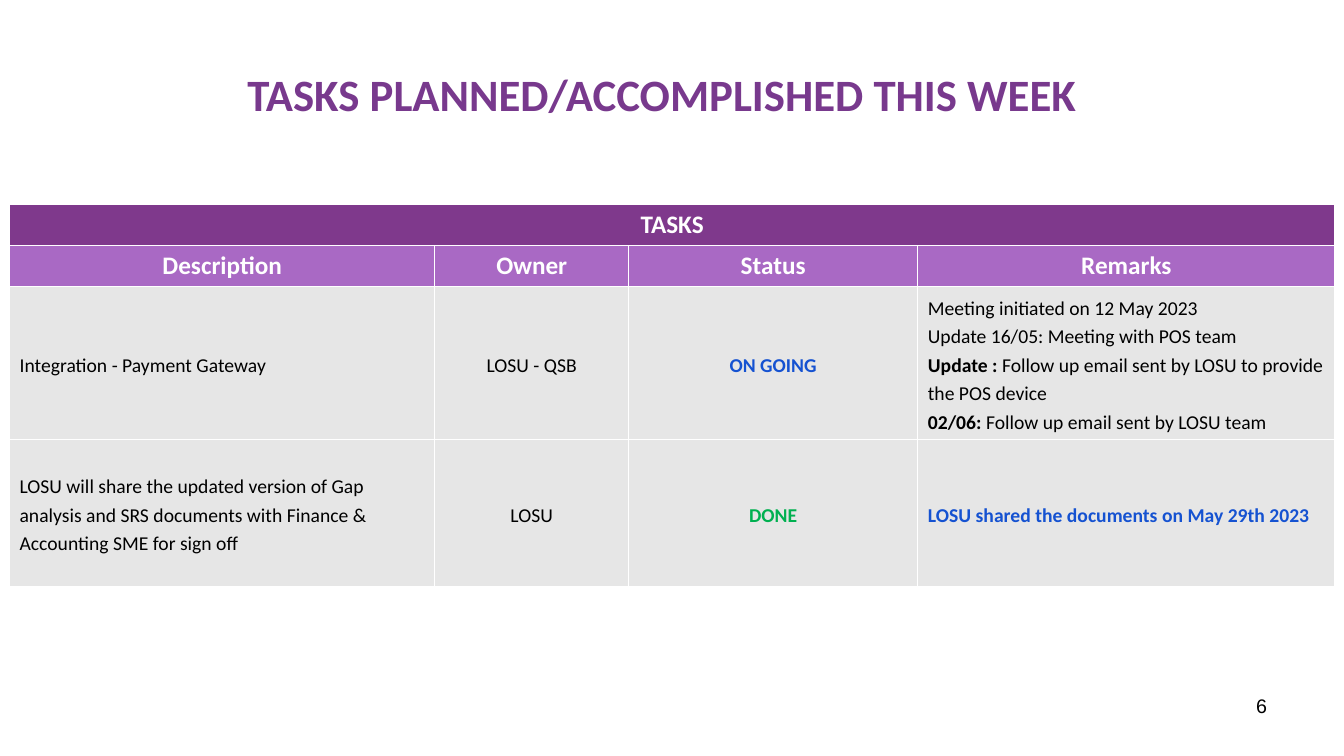
from dataclasses import dataclass

from lxml.etree import SubElement
from pptx import Presentation
from pptx.dml.color import RGBColor as Rgb
from pptx.enum.text import MSO_ANCHOR as Anchor, MSO_AUTO_SIZE as Fit, PP_ALIGN as Align
from pptx.oxml.ns import qn
from pptx.slide import Slide
from pptx.table import _Cell as Cell
from pptx.text.text import TextFrame as Frame
from pptx.util import Cm, Pt


@dataclass(frozen=True)
class Theme:
    font: str = "Calibri"
    page_font: str = "Arial"
    title: str = "78398D"
    band: str = "7F398C"
    head: str = "A969C4"
    body: str = "E6E6E6"
    white: str = "FFFFFF"
    black: str = "000000"
    blue: str = "1552D1"
    green: str = "00B050"
    title_size: int = 32
    head_size: int = 18
    body_size: int = 14


@dataclass(frozen=True)
class Run:
    text: str
    bold: bool = False
    color: str = Theme.black


@dataclass(frozen=True)
class Task:
    about: str
    owner: str
    status: Run
    notes: list[list[Run]]


THEME = Theme()
WIDTHS = (10.72, 4.88, 7.29, 10.51)
HEIGHTS = (1.02, 1.02, 3.7, 3.7)
HEADS = ("Description", "Owner", "Status", "Remarks")
TASKS = (
    Task(
        "Integration - Payment Gateway",
        "LOSU - QSB",
        Run("ON GOING", True, THEME.blue),
        [
            [Run("Meeting initiated on 12 May 2023")],
            [Run("Update 16/05: Meeting with POS team")],
            [Run("Update :", True), Run(" Follow up email sent by LOSU to provide the POS device")],
            [Run("02/06:", True), Run(" Follow up email sent by LOSU team")],
        ],
    ),
    Task(
        "LOSU will share the updated version of Gap analysis and SRS documents "
        "with Finance & Accounting SME for sign off",
        "LOSU",
        Run("DONE", True, THEME.green),
        [[Run("LOSU shared the documents on May 29th 2023", True, THEME.blue)]],
    ),
)


def write(frame: Frame, lines: list[list[Run]], *, size: int, font: str = THEME.font,
          align: Align = Align.LEFT, pitch: float = 1.0) -> None:
    frame.word_wrap = True
    for i, line in enumerate(lines):
        para = frame.add_paragraph() if i else frame.paragraphs[0]
        para.alignment = align
        para.line_spacing = pitch
        para.space_before = Pt(0)
        for part in line:
            run = para.add_run()
            run.text = part.text
            run.font.name = font
            run.font.size = Pt(size)
            run.font.bold = part.bold
            run.font.color.rgb = Rgb.from_string(part.color)


def paint(cell: Cell, color: str) -> None:
    props = cell._tc.get_or_add_tcPr()
    for side in ("a:lnL", "a:lnR", "a:lnT", "a:lnB"):
        edge = SubElement(props, qn(side), w=str(Pt(1)))
        fill = SubElement(edge, qn("a:solidFill"))
        SubElement(fill, qn("a:srgbClr"), val=THEME.white)
    cell.fill.solid()
    cell.fill.fore_color.rgb = Rgb.from_string(color)


def add_title(slide: Slide) -> None:
    title = slide.shapes.title
    title.left, title.top, title.width, title.height = Cm(1.7), Cm(0.76), Cm(30.48), Cm(3.18)
    frame = title.text_frame
    frame.auto_size = Fit.NONE
    frame.vertical_anchor = Anchor.MIDDLE
    frame.margin_right = Cm(0.76)
    write(frame, [[Run("TASKS PLANNED/ACCOMPLISHED THIS WEEK", True, THEME.title)]],
          size=THEME.title_size, align=Align.CENTER)


def add_tasks(slide: Slide) -> None:
    table = slide.shapes.add_table(len(HEIGHTS), len(WIDTHS), Cm(0.24), Cm(5.16),
                                   Cm(sum(WIDTHS)), Cm(sum(HEIGHTS))).table
    table.horz_banding = False
    for col, width in zip(table.columns, WIDTHS):
        col.width = Cm(width)
    fills = (THEME.band, THEME.head, THEME.body, THEME.body)
    for row, height, fill in zip(table.rows, HEIGHTS, fills):
        row.height = Cm(height)
        for cell in row.cells:
            paint(cell, fill)
    table.cell(0, 0).merge(table.cell(0, len(WIDTHS) - 1))

    heads = [(0, 0, "TASKS"), *((1, col, head) for col, head in enumerate(HEADS))]
    for row, col, head in heads:
        write(table.cell(row, col).text_frame, [[Run(head, True, THEME.white)]],
              size=THEME.head_size, align=Align.CENTER)

    sides = (Align.LEFT, Align.CENTER, Align.CENTER, Align.LEFT)
    for row, task in enumerate(TASKS, 2):
        texts = ([[Run(task.about)]], [[Run(task.owner)]], [[task.status]], task.notes)
        for col, (lines, align) in enumerate(zip(texts, sides)):
            cell = table.cell(row, col)
            cell.vertical_anchor = Anchor.MIDDLE
            write(cell.text_frame, lines, size=THEME.body_size, align=align, pitch=1.2)


def add_page(slide: Slide) -> None:
    box = slide.shapes.add_textbox(Cm(24.28), Cm(17.35), Cm(7.9), Cm(1.32))
    write(box.text_frame, [[Run("6")]], size=THEME.body_size,
          font=THEME.page_font, align=Align.RIGHT)


def main() -> None:
    deck = Presentation()
    deck.slide_width, deck.slide_height = Cm(33.87), Cm(19.05)
    slide = deck.slides.add_slide(deck.slide_layouts[5])
    add_title(slide)
    add_tasks(slide)
    add_page(slide)
    deck.save("out.pptx")


if __name__ == "__main__":
    main()
